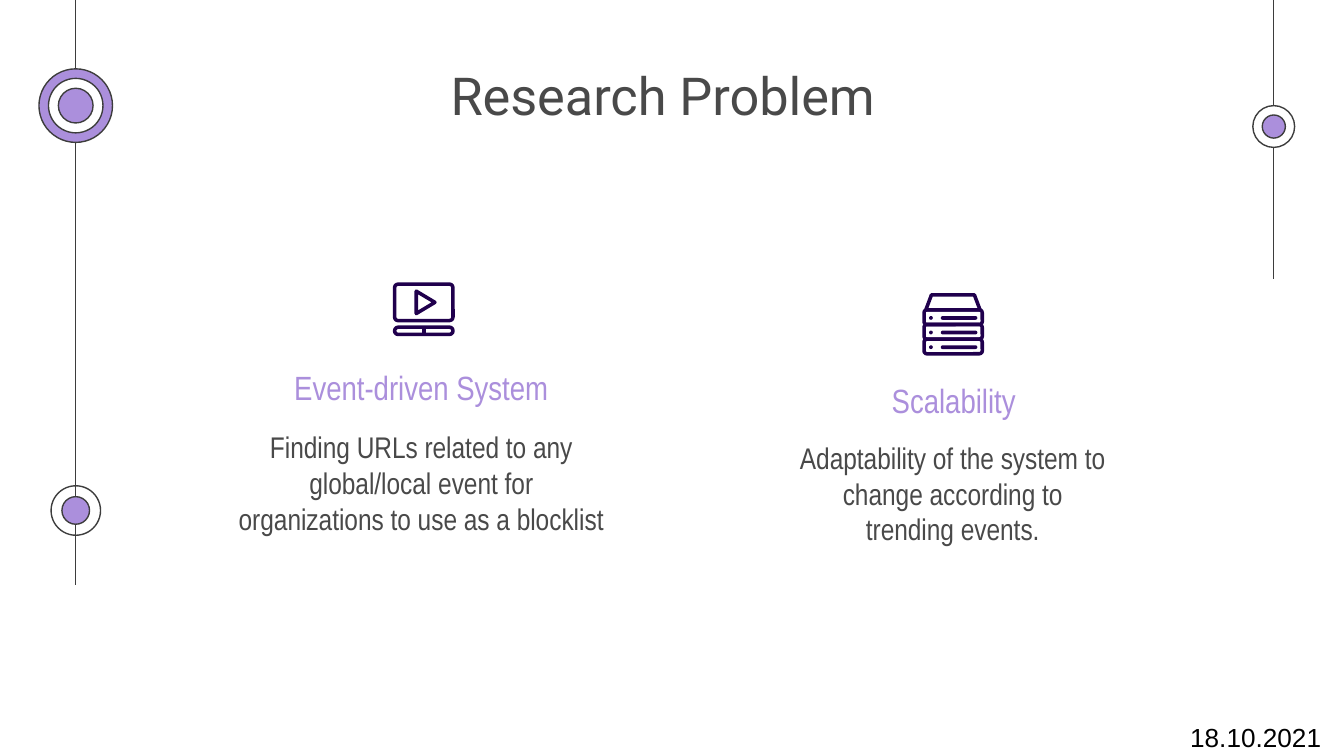
from dataclasses import dataclass

from lxml import etree
from pptx import Presentation
from pptx import util as u
from pptx.dml import color as c
from pptx.enum import shapes, text
from pptx.oxml import ns


@dataclass(frozen=True)
class Theme:
    ink: str = "494949"
    rail: str = "3D3D3D"
    accent: str = "AB8FDC"
    icon: str = "20004D"
    white: str = "FFFFFF"
    black: str = "000000"
    title_size: float = 28
    heading_size: float = 18
    body_size: float = 16
    date_size: float = 14
    hairline: float = 0.75
    stroke: float = 1.9


THEME = Theme()
KIND = shapes.MSO_SHAPE


def rgb(value):
    return c.RGBColor.from_string(value)


def points(*values):
    return [u.Pt(value) for value in values]


def write(box, words, place, size, color, font="Arial Narrow",
          align=text.PP_ALIGN.CENTER):
    box.left, box.top, box.width, box.height = points(*place)
    frame = box.text_frame
    frame.word_wrap = True
    frame.auto_size = text.MSO_AUTO_SIZE.NONE
    frame.vertical_anchor = text.MSO_ANCHOR.TOP
    frame.margin_left = frame.margin_right = u.Pt(7.2)
    frame.margin_top = frame.margin_bottom = u.Pt(7.2)
    para = frame.paragraphs[0]
    properties = para._p.get_or_add_pPr()
    properties.set("marL", "0")
    properties.set("indent", "0")
    etree.SubElement(properties, ns.qn("a:buNone"))
    para.alignment = align
    para.space_before = u.Pt(0)
    span = para.add_run()
    span.text = words
    span.font.name = font
    span.font.size = u.Pt(size)
    span.font.bold = False
    span.font.color.rgb = rgb(color)


def paint(shape, fill=None, line=None, width=THEME.hairline):
    shape.shadow.inherit = False
    if fill:
        shape.fill.solid()
        shape.fill.fore_color.rgb = rgb(fill)
    else:
        shape.fill.background()
    if line:
        shape.line.color.rgb = rgb(line)
        shape.line.width = u.Pt(width)
    else:
        shape.line.fill.background()


def add_block(page, kind, place, corner=None, **look):
    block = page.shapes.add_shape(kind, *points(*place))
    if corner is not None:
        block.adjustments[0] = corner
    paint(block, **look)


def add_outline(page, corners):
    builder = page.shapes.build_freeform(*corners[0], scale=u.Pt(1))
    builder.add_line_segments(corners[1:], close=True)
    paint(builder.convert_to_shape(), line=THEME.icon, width=THEME.stroke)


def add_line(page, start, end, color=THEME.rail, width=THEME.hairline):
    line = page.shapes.add_connector(
        shapes.MSO_CONNECTOR.STRAIGHT, *points(*start, *end))
    line.line.color.rgb = rgb(color)
    line.line.width = u.Pt(width)
    etree.SubElement(line._element.spPr, ns.qn("a:effectLst"))


def add_rings(page, x, y, rings):
    for diameter, fill in rings:
        corner = (x - diameter / 2, y - diameter / 2)
        add_block(page, KIND.OVAL, (*corner, diameter, diameter),
                  fill=fill, line=THEME.rail)


def add_rails(page):
    left, right = 40.6, 682.4
    add_line(page, (left, 0), (left, 313.2))
    add_line(page, (right, 0), (right, 149.5))
    add_rings(page, left, 273.5, [(26.5, None), (14.8, THEME.accent)])
    add_rings(page, right, 67.8, [(22.4, THEME.white), (12.4, THEME.accent)])
    add_rings(page, left, 56.6, [(39.4, THEME.accent), (29.2, THEME.white),
                                 (18.6, THEME.accent)])


def add_player_icon(page):
    look = dict(line=THEME.icon, width=THEME.stroke)
    left, width = 211.4, 31.3
    add_block(page, KIND.ROUNDED_RECTANGLE, (left, 152.2, width, 19.6),
              corner=0.1, **look)
    add_block(page, KIND.ROUNDED_RECTANGLE, (left, 175.3, width, 3.9),
              corner=0.5, **look)
    middle = left + width / 2
    add_line(page, (middle, 175.3), (middle, 179.2), THEME.icon, THEME.stroke)
    add_outline(page, [(223, 156.1), (232.9, 162), (223, 167.6)])


def add_server_icon(page):
    left, top, width, pitch = 495, 166, 31.2, 7.85
    add_outline(page, [(left + 1, top), (left + 4, top - 8),
                       (left + width - 4, top - 8), (left + width - 1, top)])
    for row in range(3):
        y = top + row * pitch
        add_block(page, KIND.ROUNDED_RECTANGLE, (left, y, width, pitch),
                  corner=0.2, line=THEME.icon, width=THEME.stroke)
        add_block(page, KIND.OVAL, (left + 2.7, y + 3.3, 2, 2),
                  fill=THEME.icon)
        add_block(page, KIND.ROUNDED_RECTANGLE,
                  (left + 9, y + 3.3, 19.6, 2), corner=0.5, fill=THEME.icon)


def add_topic(heading, body, words, details, heading_place, body_place):
    write(heading, words, heading_place, THEME.heading_size, THEME.accent)
    write(body, details, body_place, THEME.body_size, THEME.ink)


def main():
    deck = Presentation()
    deck.slide_width, deck.slide_height = points(720, 405)
    comparison = deck.slide_layouts[4]
    page = deck.slides.add_slide(comparison)
    title, heading_1, body_1, heading_2, body_2 = page.placeholders

    add_rails(page)
    write(title, "Research Problem", (135.4, 26.6, 439.2, 46.8),
          THEME.title_size, THEME.ink, font="Roboto")
    add_topic(heading_1, body_1, "Event-driven System",
              "Finding URLs related to any global/local event for "
              "organizations to use as a blocklist",
              (140.4, 189.4, 170.6, 25.9), (118.1, 222.5, 215.3, 61.2))
    add_topic(heading_2, body_2, "Scalability",
              "Adaptability of the system to change according to "
              "trending events.",
              (441.4, 196.2, 139, 25.9), (419, 228.2, 182.9, 62.6))
    add_player_icon(page)
    add_server_icon(page)
    date = page.shapes.add_textbox(*points(0, 0, 100, 24))
    write(date, "18.10.2021", (8.6, 379.4, 706.4, 24.5), THEME.date_size,
          THEME.black, font="Arial", align=text.PP_ALIGN.RIGHT)
    deck.save("out.pptx")


if __name__ == "__main__":
    main()
